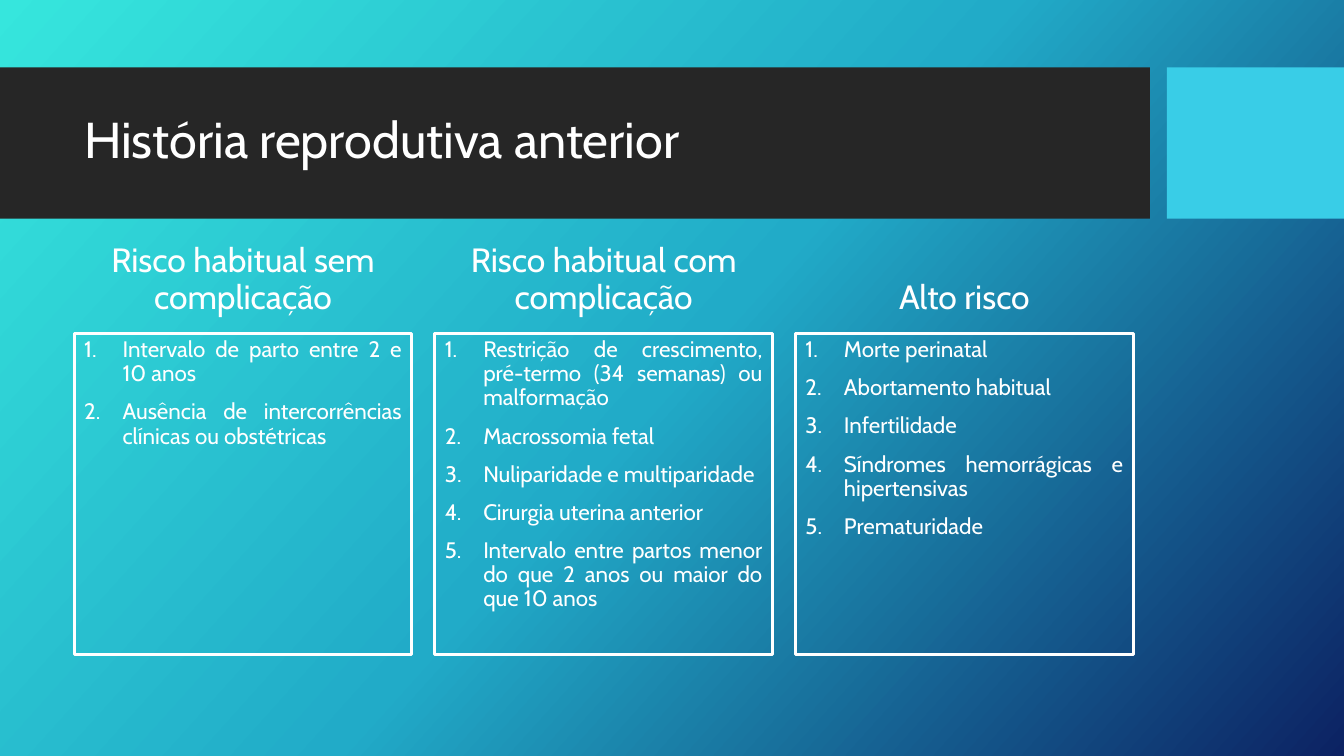
from copy import deepcopy

from pptx import Presentation
from pptx.dml.color import RGBColor
from pptx.enum.shapes import MSO_SHAPE
from pptx.enum.text import MSO_ANCHOR, PP_ALIGN
from pptx.oxml.ns import qn
from pptx.oxml.xmlchemy import OxmlElement
from pptx.util import Cm, Pt

# Content
TITLE = "História reprodutiva anterior"
RISK_GROUPS = [
    ("Risco habitual sem complicação", [
        "Intervalo de parto entre 2 e 10 anos",
        "Ausência de intercorrências clínicas ou obstétricas",
    ]),
    ("Risco habitual com complicação", [
        "Restrição de crescimento, pré-termo (34 semanas) ou malformação",
        "Macrossomia fetal",
        "Nuliparidade e multiparidade",
        "Cirurgia uterina anterior",
        "Intervalo entre partos menor do que 2 anos ou maior do que 10 anos",
    ]),
    ("Alto risco", [
        "Morte perinatal",
        "Abortamento habitual",
        "Infertilidade",
        "Síndromes hemorrágicas e hipertensivas",
        "Prematuridade",
    ]),
]

# Style and layout, lengths in cm
FONT, WHITE, BAND, ACCENT = "Cabin", "FFFFFF", "262626", "39CDE7"
BACKGROUND = [(0, "36E6DD"), (0.5, "21ABC8"), (1, "0C2263")]
BACKGROUND_ANGLE = 42
SLIDE_W, SLIDE_H = 33.87, 19.05
BAND_TOP, BAND_H, BAND_W, ACCENT_LEFT = 1.7, 3.81, 28.98, 29.41
COLUMN_LEFT, COLUMN_PITCH, COLUMN_W = 1.87, 9.09, 8.51
HEADING_TOP, HEADING_H = 6.5, 1.6
LIST_TOP, LIST_H = 8.4, 8.1
INDENT = 0.97


def rgb(value):
    return RGBColor.from_string(value)


def paint_background(slide):
    fill = slide.background.fill
    fill.gradient()
    fill.gradient_angle = 360 - BACKGROUND_ANGLE
    first_stop = slide._element.find(".//" + qn("a:gs"))
    first_stop.addnext(deepcopy(first_stop))
    for stop, (position, color) in zip(fill.gradient_stops, BACKGROUND):
        stop.position = position
        stop.color.rgb = rgb(color)


def add_rectangle(slide, left, top, width, height, color=None):
    rectangle = slide.shapes.add_shape(
        MSO_SHAPE.RECTANGLE, Cm(left), Cm(top), Cm(width), Cm(height))
    rectangle.shadow.inherit = False
    if color:
        rectangle.fill.solid()
        rectangle.fill.fore_color.rgb = rgb(color)
        rectangle.line.fill.background()
    else:
        rectangle.fill.background()
        rectangle.line.color.rgb = rgb(WHITE)
        rectangle.line.width = Pt(2.25)
    return rectangle


def number_paragraph(paragraph):
    properties = paragraph._p.get_or_add_pPr()
    properties.set("marL", str(Cm(INDENT)))
    properties.set("indent", str(-Cm(INDENT)))
    numbering = OxmlElement("a:buAutoNum")
    numbering.set("type", "arabicPeriod")
    properties.append(numbering)


def write(frame, lines, size, align, anchor, numbered=False):
    frame.word_wrap = True
    frame.vertical_anchor = anchor
    for index, line in enumerate(lines):
        paragraph = frame.add_paragraph() if index else frame.paragraphs[0]
        if numbered:
            number_paragraph(paragraph)
        paragraph.alignment = align
        paragraph.line_spacing = 0.9
        paragraph.space_before = Pt(10 if index else 0)
        run = paragraph.add_run()
        run.text = line
        run.font.name = FONT
        run.font.size = Pt(size)
        run.font.color.rgb = rgb(WHITE)


def add_label(slide, left, top, width, height, text, size, align, anchor):
    label = slide.shapes.add_textbox(Cm(left), Cm(top), Cm(width), Cm(height))
    write(label.text_frame, [text], size, align, anchor)


def main():
    deck = Presentation()
    deck.slide_width, deck.slide_height = Cm(SLIDE_W), Cm(SLIDE_H)
    slide = deck.slides.add_slide(deck.slide_layouts[6])
    paint_background(slide)

    # Title band
    add_rectangle(slide, 0, BAND_TOP, BAND_W, BAND_H, BAND)
    add_rectangle(slide, ACCENT_LEFT, BAND_TOP, SLIDE_W - ACCENT_LEFT, BAND_H, ACCENT)
    add_label(slide, COLUMN_LEFT, 2.08, 26.75, 3, TITLE, 36,
              PP_ALIGN.LEFT, MSO_ANCHOR.MIDDLE)

    # One column per risk group
    for column, (heading, factors) in enumerate(RISK_GROUPS):
        left = COLUMN_LEFT + column * COLUMN_PITCH
        add_label(slide, left, HEADING_TOP, COLUMN_W, HEADING_H, heading, 24,
                  PP_ALIGN.CENTER, MSO_ANCHOR.BOTTOM)
        factor_box = add_rectangle(slide, left, LIST_TOP, COLUMN_W, LIST_H)
        write(factor_box.text_frame, factors, 16, PP_ALIGN.JUSTIFY,
              MSO_ANCHOR.TOP, numbered=True)

    deck.save("out.pptx")


if __name__ == "__main__":
    main()
